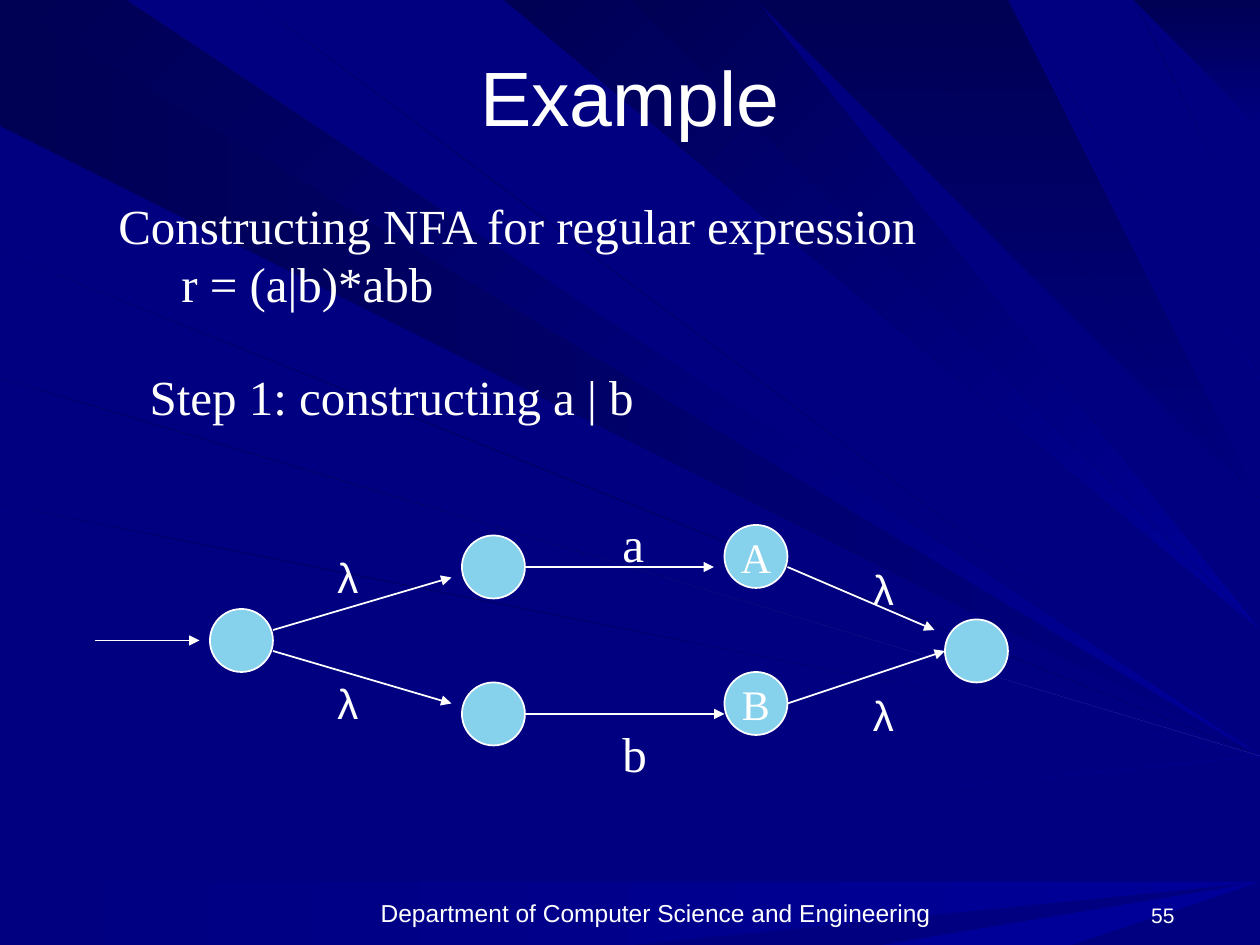
from lxml.etree import SubElement
from pptx import Presentation
from pptx.dml.color import RGBColor
from pptx.enum.shapes import MSO_CONNECTOR, MSO_SHAPE
from pptx.enum.text import MSO_ANCHOR, MSO_AUTO_SIZE, PP_ALIGN
from pptx.oxml.ns import qn
from pptx.util import Inches, Pt

WHITE = RGBColor(0xFF, 0xFF, 0xFF)
MIDNIGHT = RGBColor(0x00, 0x00, 0x55)
INDIGO = RGBColor(0x00, 0x00, 0x6F)
NAVY = RGBColor(0x00, 0x00, 0x80)
BLUE = RGBColor(0x00, 0x00, 0x99)
GLOW = RGBColor(0x17, 0x17, 0xA2)
SKY = RGBColor(0x86, 0xD1, 0xEC)

SANS = "Arial"
SERIF = "Times New Roman"

WIDTH, HEIGHT = 10, 7.5
GRID = Inches(1) // 12  # the diagram sits on a grid of twelve cells to the inch
STATE_SIZE = 6

# Background rays: edge, first colour, last colour, gradient angle, and for each
# ray where it starts and ends on that edge and its height on the right edge
RAY_GROUPS = [
    ("left", MIDNIGHT, NAVY, 0, [(0, 0.9, 5.7), (1.6, 2.3, 5.85), (5.95, 6.25, 6.3)]),
    ("top", MIDNIGHT, BLUE, 315, [
        (0.25, 1, 5.6), (4, 4.15, 5.2), (4.25, 4.9, 4.95), (5.4, 5.5, 4.6),
        (2.25, 2.45, 5.5), (7.85, 7.9, 3.6)]),
    ("top", MIDNIGHT, NAVY, 270, [
        (6.05, 6.6, 4.45), (8.85, 9.3, 2.1), (9.4, 9.65, 1.4), (6.85, 7.7, 4.1)]),
    ("top", INDIGO, BLUE, 315, [(5.75, 5.9, 4.5), (8.15, 8.25, 3.35), (8.65, 8.7, 2.5)]),
    ("left", MIDNIGHT, BLUE, 315, [(2.6, 2.7, 5.9), (2.8, 3.4, 6), (3.75, 4.35, 6.05)]),
    ("left", NAVY, BLUE, 0, [(5.5, 5.6, 6.2), (6.65, 7.05, 6.45), (7.35, 7.5, 6.6)]),
    ("left", INDIGO, GLOW, 0, [(2.85, 3.45, 6.05)]),
    ("bottom", BLUE, BLUE, 0, [(3.65, 7.4, 6.8)]),
]

# Automaton, in grid cells
STATES = [(69, 50, "A"), (44, 51, ""), (69, 64, "B"), (44, 65, ""), (20, 58, ""), (90, 59, "")]
ARROWS = [
    ((9, 61), (19, 61)),
    ((26, 60), (43, 55)),
    ((26, 62), (43, 67)),
    ((75, 54), (89, 60)),
    ((75, 67), (90, 62)),
    ((50, 54), (68, 54)),
    ((50, 68), (69, 68)),
]


def format_text(text_frame, size, font_name, align):
    for paragraph in text_frame.paragraphs:
        paragraph.alignment = align
        paragraph.font.size = Pt(size)
        paragraph.font.name = font_name
        paragraph.font.color.rgb = WHITE


def edge_point(edge, distance):
    return {"left": (0, distance), "top": (distance, 0), "bottom": (distance, HEIGHT)}[edge]


def add_ray(shapes, edge, colors, angle, start, end, tip):
    builder = shapes.build_freeform(*edge_point(edge, start), scale=Inches(1))
    builder.add_line_segments([edge_point(edge, end), (WIDTH, tip)], close=True)
    ray = builder.convert_to_shape()
    ray.shadow.inherit = False
    ray.line.fill.background()
    ray.fill.gradient()
    ray.fill.gradient_angle = angle
    for stop, color in zip(ray.fill.gradient_stops, colors):
        stop.color.rgb = color


def add_background(slide):
    slide.background.fill.solid()
    slide.background.fill.fore_color.rgb = NAVY
    rays = slide.shapes.add_group_shape()
    for edge, first, last, angle, spans in RAY_GROUPS:
        for span in spans:
            add_ray(rays.shapes, edge, (first, last), angle, *span)


def add_title(slide, text):
    title = slide.shapes.title
    title.left, title.top = Inches(0.5), Inches(0.3)
    title.width, title.height = Inches(9), Inches(0.92)
    title.text_frame.text = text
    title.text_frame.vertical_anchor = MSO_ANCHOR.MIDDLE
    format_text(title.text_frame, 44, SANS, PP_ALIGN.CENTER)
    # Bring the title in front of the rays
    slide.shapes._spTree.append(title._element)


def add_label(slide, text, left, top, width, height, size, font_name):
    box = slide.shapes.add_textbox(Inches(left), Inches(top), Inches(width), Inches(height))
    box.text_frame.text = text
    box.text_frame.word_wrap = False
    box.text_frame.auto_size = MSO_AUTO_SIZE.SHAPE_TO_FIT_TEXT
    format_text(box.text_frame, size, font_name, PP_ALIGN.LEFT)


def add_footer(slide, text, left, width, size, align):
    box = slide.shapes.add_textbox(Inches(left), Inches(7.08), Inches(width), Inches(0.33))
    box.text_frame.text = text
    box.text_frame.word_wrap = True
    box.text_frame.vertical_anchor = MSO_ANCHOR.BOTTOM
    format_text(box.text_frame, size, SANS, align)


def add_state(slide, column, row, name):
    size = STATE_SIZE * GRID
    state = slide.shapes.add_shape(MSO_SHAPE.OVAL, column * GRID, row * GRID, size, size)
    state.shadow.inherit = False
    state.fill.solid()
    state.fill.fore_color.rgb = SKY
    state.line.color.rgb = WHITE
    state.line.width = Pt(1)
    if name:
        state.text_frame.text = name
        state.text_frame.word_wrap = False
        state.text_frame.vertical_anchor = MSO_ANCHOR.MIDDLE
        format_text(state.text_frame, 24, SERIF, PP_ALIGN.CENTER)


def add_arrow(slide, start, end):
    ends = [cell * GRID for cell in (*start, *end)]
    arrow = slide.shapes.add_connector(MSO_CONNECTOR.STRAIGHT, *ends)
    arrow.line.color.rgb = WHITE
    arrow.line.width = Pt(1)
    SubElement(arrow.line._get_or_add_ln(), qn("a:tailEnd"), type="triangle")
    SubElement(arrow._element.spPr, qn("a:effectLst"))


def main():
    presentation = Presentation()
    presentation.slide_width, presentation.slide_height = Inches(WIDTH), Inches(HEIGHT)
    slide = presentation.slides.add_slide(presentation.slide_layouts[5])
    add_background(slide)

    # Footer, title and text
    add_footer(slide, "Department of Computer Science and Engineering", 1.83, 6.75, 14, PP_ALIGN.CENTER)
    add_footer(slide, "55", 8.75, 0.67, 12, PP_ALIGN.RIGHT)
    add_title(slide, "Example")
    add_label(slide, "Constructing NFA for regular expression\n\tr = (a|b)*abb", 0.84, 1.5, 6.58, 1.04, 28, SERIF)
    add_label(slide, "Step 1: constructing a | b", 1.09, 2.86, 4.04, 0.57, 28, SERIF)

    # Automaton
    for state in STATES:
        add_state(slide, *state)
    for start, end in ARROWS:
        add_arrow(slide, start, end)

    # Transition labels
    for symbol, top in (("a", 4.03), ("b", 5.69)):
        add_label(slide, symbol, 4.84, top, 0.38, 0.57, 28, SERIF)
    for left, first_top in ((2.58, 4.33), (6.83, 4.42)):
        for top in (first_top, first_top + 1):
            add_label(slide, "λ", left, top, 0.38, 0.5, 24, SANS)

    presentation.save("out.pptx")


if __name__ == "__main__":
    main()
